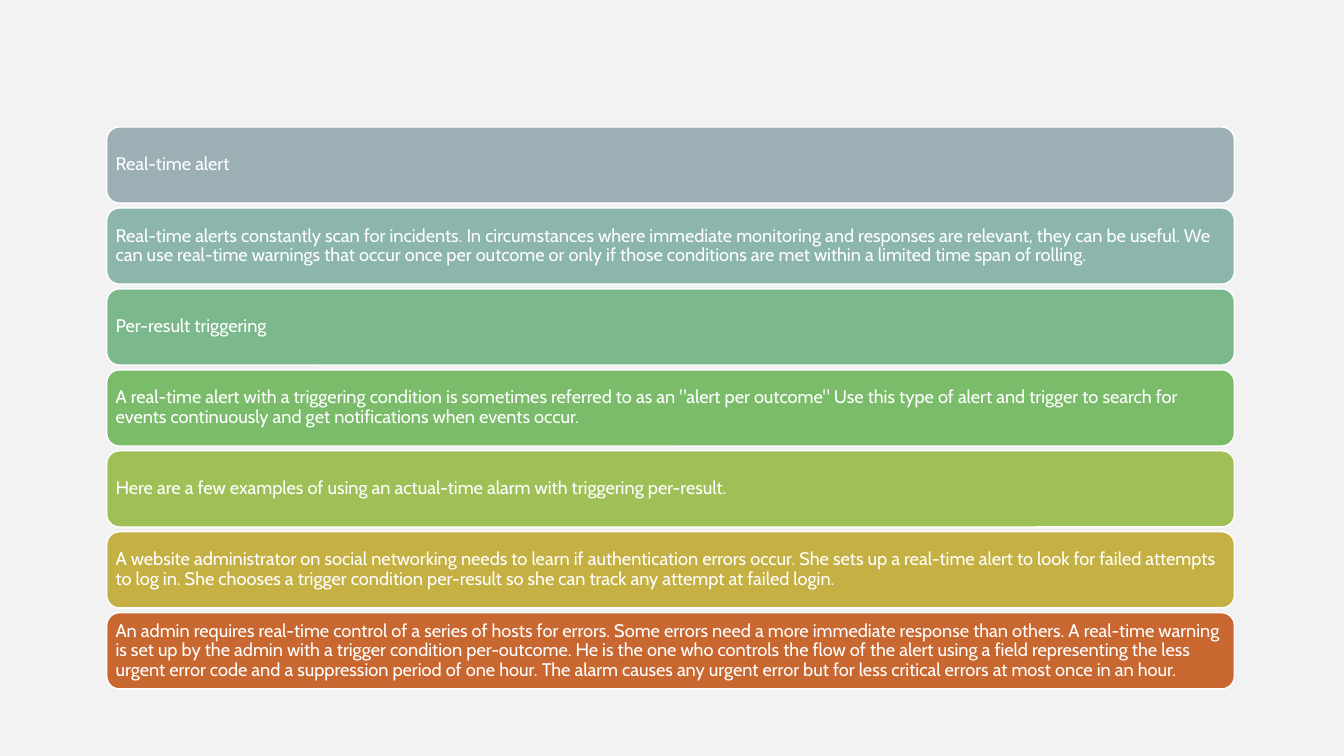
from pptx import Presentation
from pptx.dml.color import RGBColor
from pptx.enum.shapes import MSO_SHAPE as Shape
from pptx.enum.text import MSO_ANCHOR as Anchor, PP_ALIGN as Align
from pptx.util import Cm, Pt

BACKGROUND = "F2F2F2"
WHITE = "FFFFFF"
FONT = "Cabin"

BAR_LEFT, FIRST_TOP = 2.69, 3.2
BAR_WIDTH, BAR_HEIGHT = 28.42, 1.92
BAR_PITCH = 2.04
INSET = 0.13

ALERT_NOTES = [
    ("9BAFB5", "Real-time alert"),
    ("8CB6AC", "Real-time alerts constantly scan for incidents. In circumstances where "
               "immediate monitoring and responses are relevant, they can be useful. We can "
               "use real-time warnings that occur once per outcome or only if those "
               "conditions are met within a limited time span of rolling."),
    ("7BB88C", "Per-result triggering"),
    ("7ABC69", "A real-time alert with a triggering condition is sometimes referred to as an "
               '"alert per outcome" Use this type of alert and trigger to search for events '
               "continuously and get notifications when events occur."),
    ("9FC057", "Here are a few examples of using an actual-time alarm with triggering "
               "per-result."),
    ("C5B043", "A website administrator on social networking needs to learn if "
               "authentication errors occur. She sets up a real-time alert to look for "
               "failed attempts to log in. She chooses a trigger condition per-result so "
               "she can track any attempt at failed login."),
    ("C96731", "An admin requires real-time control of a series of hosts for errors. Some "
               "errors need a more immediate response than others. A real-time warning is "
               "set up by the admin with a trigger condition per-outcome. He is the one who "
               "controls the flow of the alert using a field representing the less urgent "
               "error code and a suppression period of one hour. The alarm causes any urgent "
               "error but for less critical errors at most once in an hour."),
]


def paint(color_format, hex_color):
    color_format.rgb = RGBColor.from_string(hex_color)


def fill_solid(fill, hex_color):
    fill.solid()
    paint(fill.fore_color, hex_color)


def write_note(frame, note):
    frame.word_wrap = True
    frame.vertical_anchor = Anchor.MIDDLE
    frame.margin_left = frame.margin_right = Cm(INSET)
    frame.margin_top = frame.margin_bottom = Cm(INSET)
    paragraph = frame.paragraphs[0]
    paragraph.text = note
    paragraph.alignment = Align.LEFT
    paragraph.line_spacing = 0.9
    paragraph.font.name = FONT
    paragraph.font.size = Pt(13)
    paint(paragraph.font.color, WHITE)


def add_alert_bar(slide, top, color, note):
    bar = slide.shapes.add_shape(Shape.ROUNDED_RECTANGLE, Cm(BAR_LEFT), Cm(top),
                                 Cm(BAR_WIDTH), Cm(BAR_HEIGHT))
    bar.shadow.inherit = False
    fill_solid(bar.fill, color)
    paint(bar.line.color, WHITE)
    bar.line.width = Pt(1)
    write_note(bar.text_frame, note)


def main():
    deck = Presentation()
    deck.slide_width, deck.slide_height = Cm(33.87), Cm(19.05)
    slide = deck.slides.add_slide(deck.slide_layouts[6])
    fill_solid(slide.background.fill, BACKGROUND)
    for row, (color, note) in enumerate(ALERT_NOTES):
        add_alert_bar(slide, FIRST_TOP + row * BAR_PITCH, color, note)
    deck.save("out.pptx")


if __name__ == "__main__":
    main()
